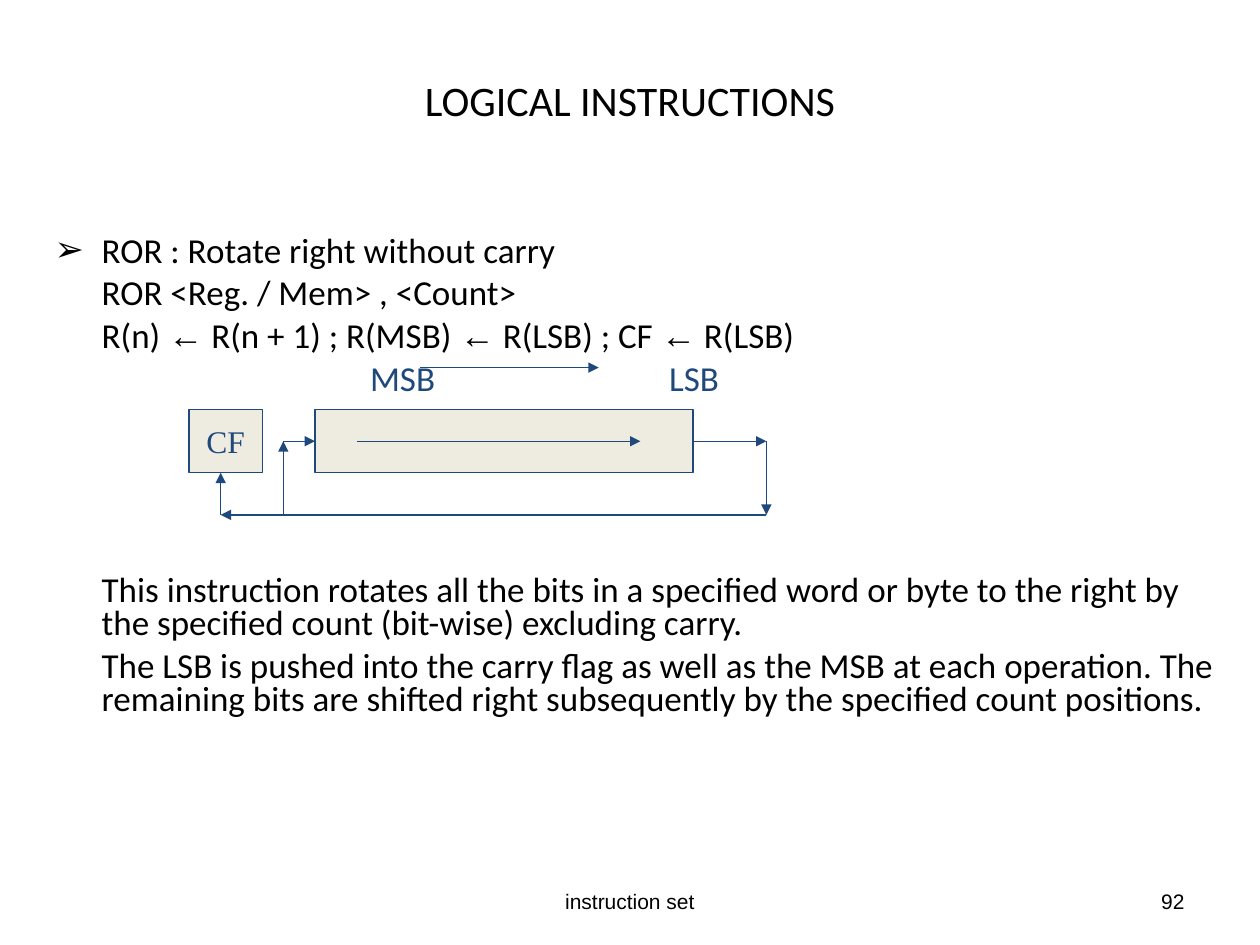
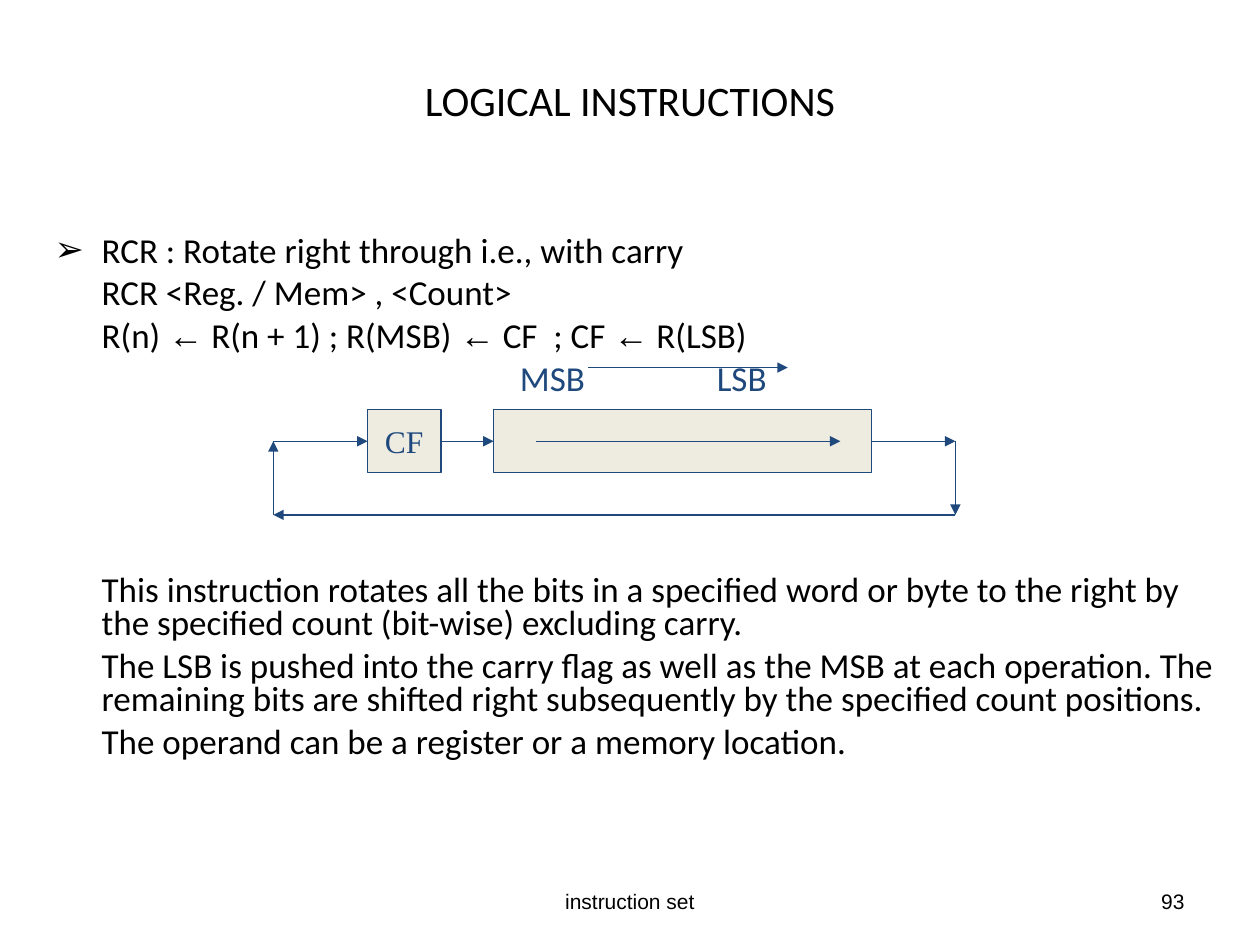
import itertools
from dataclasses import dataclass

import pptx
import pptx.dml.color
import pptx.enum.shapes
import pptx.enum.text
import pptx.oxml.ns
import pptx.util
from lxml import etree

Cm = pptx.util.Cm
Pt = pptx.util.Pt
ALIGN = pptx.enum.text.PP_ALIGN
ANCHOR = pptx.enum.text.MSO_ANCHOR
qn = pptx.oxml.ns.qn


@dataclass(frozen=True)
class Theme:
    ink: str = "000000"
    blue: str = "1F497D"
    cell: str = "EEECE1"
    text_font: str = "Calibri"
    symbol_font: str = "Arial"
    flag_font: str = "Times New Roman"
    title_size: int = 24
    body_size: int = 20
    flag_size: int = 18
    footer_size: int = 12
    line_width: float = 0.75
    body_spacing: float = 0.8
    body_gap: int = 5
    diagram_gap: int = 126


THEME = Theme()

# Diagram lengths in cm
REGISTER_WIDTH = 7.62
CELL_HEIGHT = 1.27
FLAG_WIDTH = 1.48
FLAG_OFFSET = -2.54
MIDDLE = CELL_HEIGHT / 2
RETURN_LEVEL = 2.12
SHIFT_LEVEL = -0.85
LABEL_LEVEL = -0.91

DESCRIPTION = [
    "This instruction rotates all the bits in a specified word or byte to the right by "
    "the specified count (bit-wise) excluding carry.",
    "The LSB is pushed into the carry flag as well as the MSB at each operation. The "
    "remaining bits are shifted right subsequently by the specified count positions.",
]


def rgb(value):
    return pptx.dml.color.RGBColor.from_string(value)


def write(para, text, size=THEME.body_size, font=THEME.text_font, color=THEME.ink,
          align=ALIGN.LEFT, spacing=None, before=0):
    """Fill a paragraph; left arrows take the symbol font."""
    para.alignment = align
    para.space_before = Pt(before)
    if spacing:
        para.line_spacing = spacing
    for is_arrow, letters in itertools.groupby(text, lambda letter: letter == "←"):
        span = para.add_run()
        span.text = "".join(letters)
        span.font.name = THEME.symbol_font if is_arrow else font
        span.font.size = Pt(size)
        span.font.color.rgb = rgb(color)


def add_box(page, left, top, width, height, anchor=ANCHOR.TOP):
    frame = page.shapes.add_textbox(Cm(left), Cm(top), Cm(width), Cm(height)).text_frame
    frame.word_wrap = True
    frame.vertical_anchor = anchor
    return frame


def add_title(page, text):
    frame = add_box(page, 1.9, 0.85, 21.6, 2.33, ANCHOR.MIDDLE)
    write(frame.paragraphs[0], text, size=THEME.title_size, align=ALIGN.CENTER)


def add_footer(page, text, number):
    for left, width, words, align in ((8.68, 8.04, text, ALIGN.CENTER),
                                      (18.2, 5.93, str(number), ALIGN.RIGHT)):
        frame = add_box(page, left, 17.65, width, 1.02, ANCHOR.MIDDLE)
        write(frame.paragraphs[0], words, size=THEME.footer_size,
              font=THEME.symbol_font, align=align)


def add_body(page, syntax, description):
    """Syntax lines, room for the diagram, then the description."""
    frame = add_box(page, 0.85, 3.6, 23.92, 14.18)
    frame.margin_top = Cm(1.17)
    for index, text in enumerate(syntax + description):
        para = frame.paragraphs[0] if index == 0 else frame.add_paragraph()
        properties = para._p.get_or_add_pPr()
        properties.set("marL", str(Cm(0.95)))
        properties.set("indent", str(Cm(-0.95) if index == 0 else 0))
        if index == 0:
            bullet_font = etree.SubElement(properties, qn("a:buFont"))
            bullet_font.set("typeface", THEME.symbol_font)
            etree.SubElement(properties, qn("a:buChar")).set("char", "➢")
            before = 0
        else:
            before = THEME.diagram_gap if index == len(syntax) else THEME.body_gap
        write(para, text, spacing=THEME.body_spacing, before=before)


class RotateDiagram:
    """Carry flag and register, measured from the register's top left corner."""

    def __init__(self, page, left, top, labels, shift, inner, right, return_to):
        self.page, self.left, self.top = page, left, top
        self.flag = self.add_cell(FLAG_OFFSET, FLAG_WIDTH)
        self.register = self.add_cell(0, REGISTER_WIDTH)
        self.flag.text_frame.word_wrap = False
        self.flag.text_frame.vertical_anchor = ANCHOR.MIDDLE
        write(self.flag.text_frame.paragraphs[0], "CF", size=THEME.flag_size,
              font=THEME.flag_font, color=THEME.blue, align=ALIGN.CENTER)

        # Bit labels
        for text, offset in zip(("MSB", "LSB"), labels):
            frame = add_box(page, left + offset, top + LABEL_LEVEL, 1.6, 0.7)
            frame.margin_left = frame.margin_right = 0
            frame.margin_top = frame.margin_bottom = 0
            write(frame.paragraphs[0], text, color=THEME.blue,
                  spacing=THEME.body_spacing)

        # Shift direction, then the way out of the register and back
        self.add_arrow((shift[0], SHIFT_LEVEL), (shift[1], SHIFT_LEVEL))
        self.add_arrow((inner[0], MIDDLE), (inner[1], MIDDLE))
        self.add_arrow((REGISTER_WIDTH, MIDDLE), (right, MIDDLE), start=(self.register, 3))
        self.add_arrow((right, MIDDLE), (right, RETURN_LEVEL))
        self.add_arrow((right, RETURN_LEVEL), (return_to, RETURN_LEVEL))

    def add_cell(self, offset, width):
        cell = self.page.shapes.add_shape(
            pptx.enum.shapes.MSO_SHAPE.RECTANGLE, Cm(self.left + offset), Cm(self.top),
            Cm(width), Cm(CELL_HEIGHT))
        cell.shadow.inherit = False
        cell.fill.solid()
        cell.fill.fore_color.rgb = rgb(THEME.cell)
        cell.line.color.rgb = rgb(THEME.blue)
        cell.line.width = Pt(THEME.line_width)
        return cell

    def add_arrow(self, begin, end, start=None, finish=None):
        arrow = self.page.shapes.add_connector(
            pptx.enum.shapes.MSO_CONNECTOR.STRAIGHT,
            Cm(self.left + begin[0]), Cm(self.top + begin[1]),
            Cm(self.left + end[0]), Cm(self.top + end[1]))
        if start:
            arrow.begin_connect(*start)
        if finish:
            arrow.end_connect(*finish)
        arrow.line.color.rgb = rgb(THEME.blue)
        arrow.line.width = Pt(THEME.line_width)
        etree.SubElement(arrow.line._get_or_add_ln(), qn("a:tailEnd")).set("type", "triangle")
        etree.SubElement(arrow._element.spPr, qn("a:effectLst"))


def draw_without_carry(page, left, top):
    """The low bit goes to the flag and, on a branch, to the register."""
    flag_entry, branch = -1.9, -0.64
    diagram = RotateDiagram(page, left, top, labels=(1.11, 7.14), shift=(2.11, 5.72),
                            inner=(0.85, 6.56), right=9.1, return_to=flag_entry)
    diagram.add_arrow((flag_entry, RETURN_LEVEL), (flag_entry, CELL_HEIGHT))
    diagram.add_arrow((branch, RETURN_LEVEL), (branch, MIDDLE))
    diagram.add_arrow((branch, MIDDLE), (0, MIDDLE), finish=(diagram.register, 1))


def draw_through_carry(page, left, top):
    """The low bit passes through the flag into the register."""
    loop = -4.44
    diagram = RotateDiagram(page, left, top, labels=(0.53, 4.5), shift=(1.91, 5.93),
                            inner=(0.85, 6.99), right=9.31, return_to=loop)
    diagram.add_arrow((loop, RETURN_LEVEL), (loop, MIDDLE))
    diagram.add_arrow((loop, MIDDLE), (FLAG_OFFSET, MIDDLE), finish=(diagram.flag, 1))
    diagram.add_arrow((FLAG_OFFSET + FLAG_WIDTH, MIDDLE), (0, MIDDLE),
                      start=(diagram.flag, 3), finish=(diagram.register, 1))


def add_instruction_page(deck, number, syntax, description, draw, register_left):
    page = deck.slides.add_slide(deck.slide_layouts[6])
    add_footer(page, "instruction set", number)
    add_title(page, "LOGICAL INSTRUCTIONS")
    add_body(page, syntax, description)
    draw(page, register_left, 8.26)


def main():
    deck = pptx.Presentation()
    deck.slide_width, deck.slide_height = Cm(25.4), Cm(19.05)
    add_instruction_page(
        deck, 92,
        ["ROR : Rotate right without carry",
         "ROR <Reg. / Mem> , <Count>",
         "R(n) ← R(n + 1) ; R(MSB) ← R(LSB) ; CF ← R(LSB)"],
        DESCRIPTION, draw_without_carry, 6.35)
    add_instruction_page(
        deck, 93,
        ["RCR : Rotate right through i.e., with carry",
         "RCR <Reg. / Mem> , <Count>",
         "R(n) ← R(n + 1) ; R(MSB) ← CF  ; CF ← R(LSB)"],
        DESCRIPTION + ["The operand can be a register or a memory location."],
        draw_through_carry, 9.95)
    deck.save("out.pptx")


if __name__ == "__main__":
    main()
